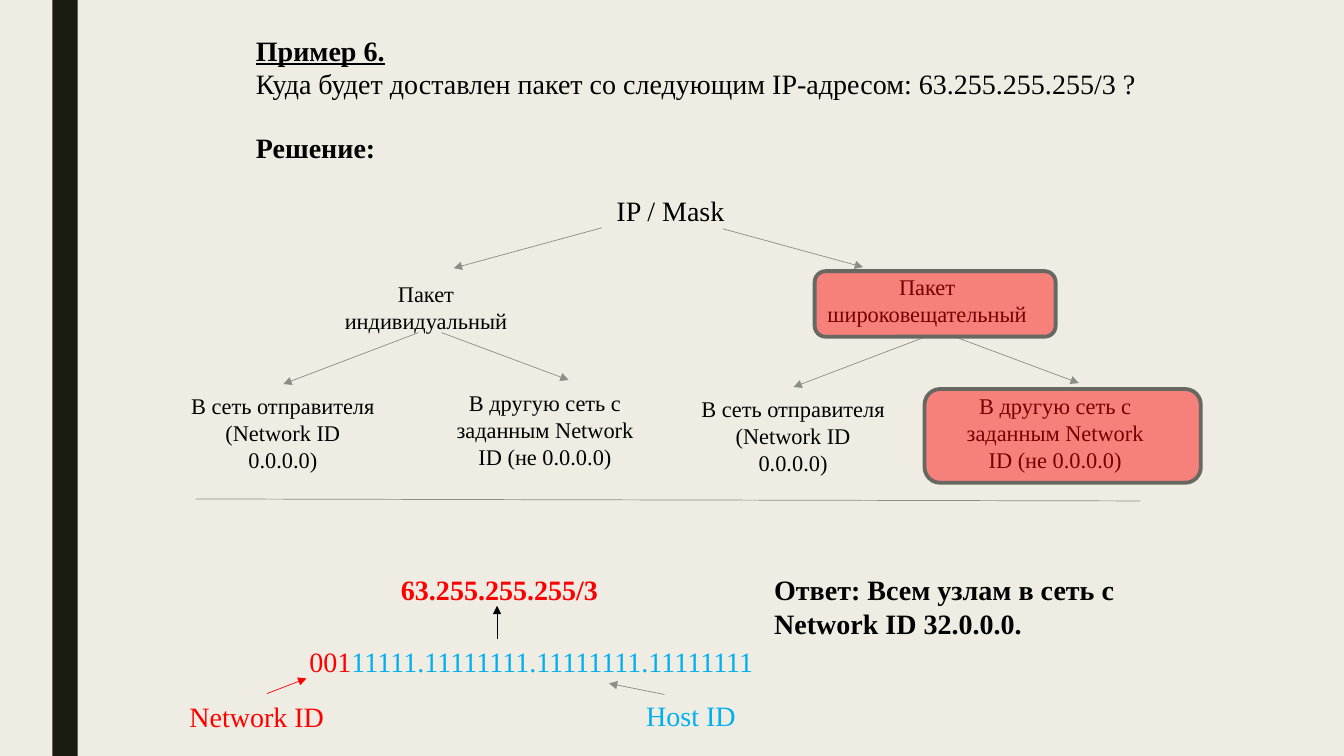
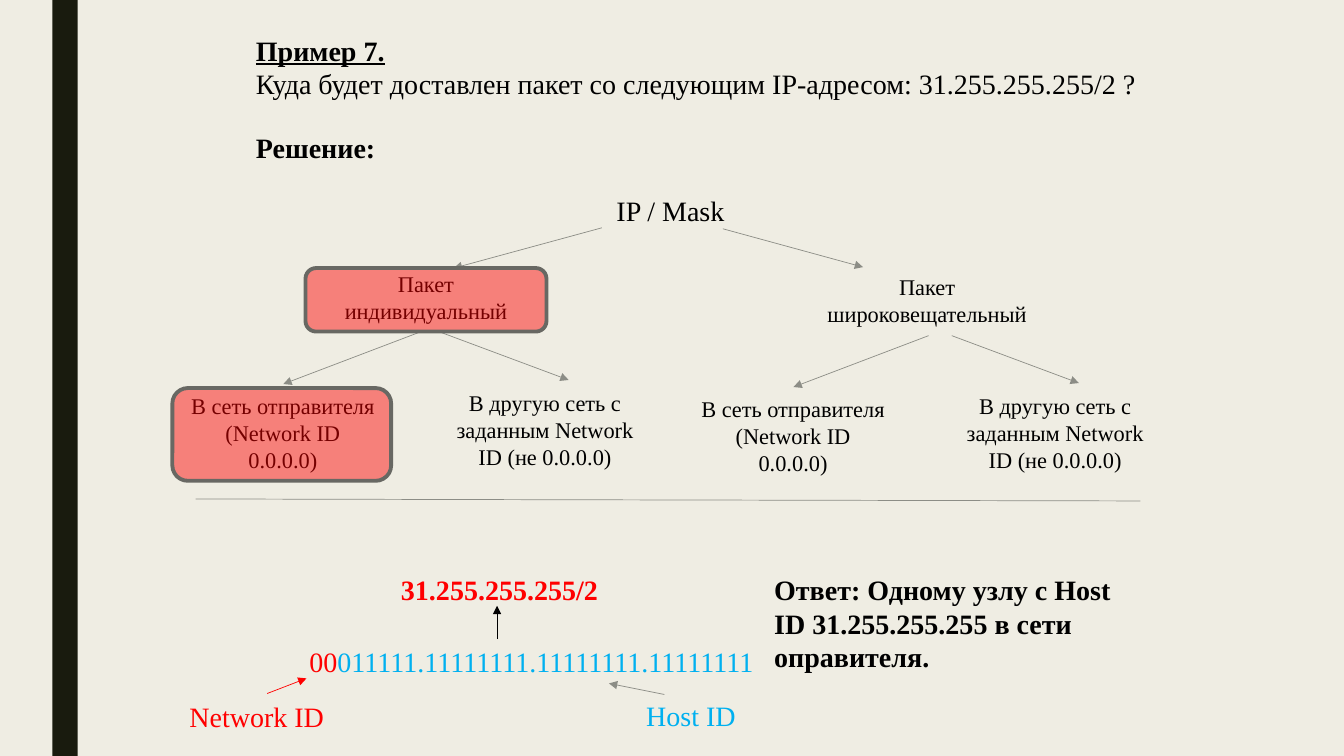
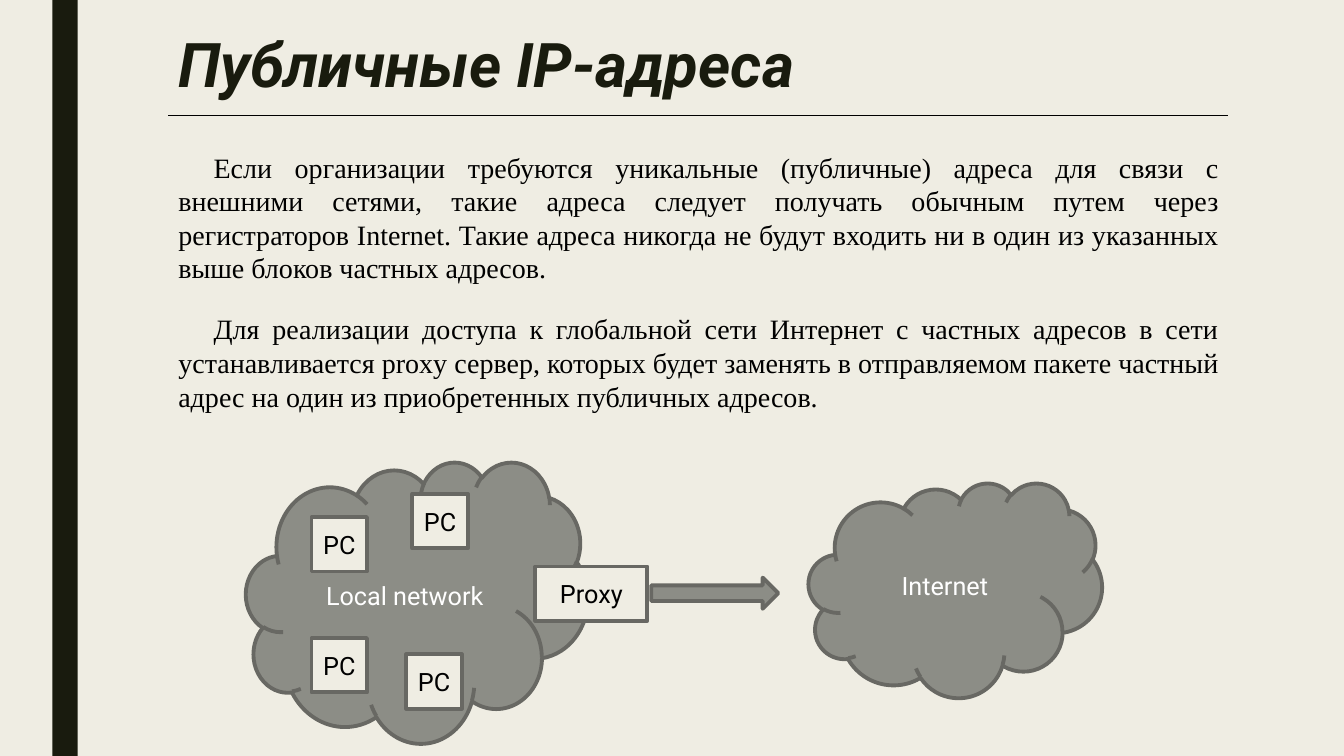
from dataclasses import dataclass

from lxml import etree
from pptx import Presentation
from pptx.dml.color import RGBColor
from pptx.enum.shapes import MSO_CONNECTOR, MSO_SHAPE
from pptx.enum.text import MSO_ANCHOR, PP_ALIGN
from pptx.oxml.ns import qn
from pptx.util import Inches, Pt

LEFT, CENTER, JUSTIFY = PP_ALIGN.LEFT, PP_ALIGN.CENTER, PP_ALIGN.JUSTIFY
TOP, MIDDLE = MSO_ANCHOR.TOP, MSO_ANCHOR.MIDDLE
STRAIGHT = MSO_CONNECTOR.STRAIGHT
RECT, ROUNDED = MSO_SHAPE.RECTANGLE, MSO_SHAPE.ROUNDED_RECTANGLE
CLOUD, RIGHT_ARROW = MSO_SHAPE.CLOUD, MSO_SHAPE.RIGHT_ARROW


@dataclass(frozen=True)
class Theme:
    paper: str = "EFEDE3"
    dark: str = "191B0E"
    black: str = "000000"
    white: str = "FFFFFF"
    gray: str = "8C8D86"
    outline: str = "686863"
    red: str = "FF0000"
    blue: str = "00B0F0"
    serif: str = "Times New Roman"
    sans: str = "Roboto"
    title: int = 44
    body: int = 20
    label: int = 18
    node: int = 16
    thin: float = 0.5
    rule: float = 0.75
    thick: float = 2.75


T = Theme()


def rgb(value):
    return RGBColor.from_string(value)


class Deck:
    def __init__(self):
        self.prs = Presentation()
        self.prs.slide_width, self.prs.slide_height = Inches(13.33), Inches(7.5)
        fill = self.prs.slide_master.background.fill
        fill.solid()
        fill.fore_color.rgb = rgb(T.paper)

    def slide(self):
        """Start a slide with the dark band on its left."""
        self.s = self.prs.slides.add_slide(self.prs.slide_layouts[6])
        self.shape(RECT, 0.52, 0, 0.25, 7.5, T.dark, line=None)

    def fill_text(self, tf, texts, size, color, font, bold, align):
        """Fill a text frame, one paragraph for each text."""
        for i, text in enumerate(texts):
            p = tf.add_paragraph() if i else tf.paragraphs[0]
            p.alignment = align
            p.font.size, p.font.name, p.font.bold = Pt(size), font, bold
            if color:
                p.font.color.rgb = rgb(color)
            if text:
                p.add_run().text = text
        return tf.paragraphs

    def text(self, x, y, w, h, *texts, size=T.body, color=T.black,
             font=T.serif, bold=False, align=LEFT, wrap=True):
        tf = self.s.shapes.add_textbox(
            Inches(x), Inches(y), Inches(w), Inches(h)).text_frame
        tf.word_wrap, tf.vertical_anchor = wrap, TOP
        return self.fill_text(tf, texts, size, color, font, bold, align)

    def shape(self, kind, x, y, w, h, fill, line=T.outline, text=None,
              color=T.white, alpha=None):
        sp = self.s.shapes.add_shape(
            kind, Inches(x), Inches(y), Inches(w), Inches(h))
        sp.shadow.inherit = False
        sp.fill.solid()
        sp.fill.fore_color.rgb = rgb(fill)
        if alpha:
            srgb = sp._element.spPr.find(".//" + qn("a:srgbClr"))
            etree.SubElement(srgb, qn("a:alpha"), val=str(alpha * 1000))
        if line:
            sp.line.color.rgb = rgb(line)
            sp.line.width = Pt(T.thick)
        else:
            sp.line.fill.background()
        if text:
            sp.text_frame.vertical_anchor = MIDDLE
            self.fill_text(sp.text_frame, [text], T.label, color, T.sans,
                           False, CENTER)

    def line(self, x1, y1, x2, y2, color=T.gray, width=T.thin, arrow=False):
        cx = self.s.shapes.add_connector(
            STRAIGHT, Inches(x1), Inches(y1), Inches(x2), Inches(y2))
        cx.line.color.rgb = rgb(color)
        cx.line.width = Pt(width)
        sp_pr = cx._element.spPr
        if arrow:
            etree.SubElement(sp_pr.find(qn("a:ln")), qn("a:tailEnd"),
                             type="triangle")
        etree.SubElement(sp_pr, qn("a:effectLst"))

    def arrow(self, x1, y1, x2, y2, color=T.gray):
        self.line(x1, y1, x2, y2, color, arrow=True)

    def node(self, x, y, w, h, text):
        self.text(x, y, w, h, text, size=T.node, align=CENTER)

    def decision_tree(self, individual_y):
        self.text(6.01, 1.87, 1.28, 0.44, "IP / Mask", align=CENTER, wrap=False)
        self.arrow(5.97, 2.26, 4.5, 2.66)
        self.arrow(7.17, 2.27, 8.56, 2.65)
        self.node(3.2, individual_y, 2.05, 0.64, "Пакет индивидуальный")
        self.node(8.08, 2.66, 2.23, 0.64, "Пакет широковещательный")
        for dx, dy in ((0, 0), (5.06, 0.03)):
            self.arrow(4.15 + dx, 3.3 + dy, 2.81 + dx, 3.81 + dy)
            self.arrow(4.38 + dx, 3.3 + dy, 5.64 + dx, 3.77 + dy)
            self.node(1.78 + dx, 3.84 + dy, 2.05, 0.91,
                      "В сеть отправителя (Network ID 0.0.0.0)")
            self.node(4.38 + dx, 3.81 + dy, 2.05, 0.91,
                      "В другую сеть с заданным Network ID (не 0.0.0.0)")

    def binary_address(self, address, network_bits, host_bits):
        self.text(3.87, 5.63, 2.17, 0.44, address, color=T.red, bold=True,
                  align=CENTER, wrap=False)
        self.arrow(4.93, 6.34, 4.93, 6.01, T.black)
        p = self.text(2.97, 6.34, 6.14, 0.44, "", color=None)[0]
        for bits, color in ((network_bits, T.red), (host_bits, T.blue)):
            r = p.add_run()
            r.text = bits
            r.font.color.rgb = rgb(color)
        self.arrow(2.65, 6.88, 3.04, 6.73, T.red)
        self.text(1.78, 6.89, 2, 0.44, "Network ID", color=T.red)
        self.arrow(6.59, 6.89, 6.04, 6.78)
        self.text(6.31, 6.88, 2, 0.44, "Host ID", color=T.blue)

    def example(self, number, address, network_bits, host_bits, answer,
                individual_y, highlights):
        self.slide()
        heading, _ = self.text(
            2.44, 0.28, 9.06, 0.77, f"Пример {number}.",
            f"Куда будет доставлен пакет со следующим IP-адресом: {address} ?",
            align=JUSTIFY)
        heading.font.bold = heading.font.underline = True
        self.text(2.44, 1.25, 9.06, 0.77, "Решение:", bold=True, align=JUSTIFY)
        self.decision_tree(individual_y)
        self.binary_address(address, network_bits, host_bits)
        self.line(1.94, 4.95, 11.31, 4.97)
        for box in highlights:
            self.shape(ROUNDED, *box, T.red, alpha=46)
        self.text(7.58, 5.63, 3.9, 1.11, answer, bold=True)

    def public_addresses(self):
        self.slide()
        title = self.text(1.67, 0.3, 9, 0.85, "Публичные IP-адреса",
                          size=T.title, color=T.dark, font=T.sans, bold=True)[0]
        title.font.italic, title.line_spacing = True, 0.89
        self.line(1.67, 1.15, 12.18, 1.15, T.black, T.rule)
        paragraphs = self.text(
            1.67, 1.44, 10.52, 2.74,
            "Если организации требуются уникальные (публичные) адреса для "
            "связи с внешними сетями, такие адреса следует получать обычным "
            "путем через регистраторов Internet. Такие адреса никогда не "
            "будут входить ни в один из указанных выше блоков частных адресов.",
            "Для реализации доступа к глобальной сети Интернет с частных "
            "адресов в сети устанавливается proxy сервер, которых будет "
            "заменять в отправляемом пакете частный адрес на один из "
            "приобретенных публичных адресов.", align=JUSTIFY)
        for p in paragraphs:
            p._p.get_or_add_pPr().set("indent", str(Inches(0.35)))
        paragraphs[1].space_before = Pt(19.5)

        self.shape(RIGHT_ARROW, 6.46, 5.73, 1.26, 0.31, T.gray)
        self.shape(CLOUD, 2.44, 4.58, 3.39, 2.79, T.gray, text="Local network")
        self.shape(CLOUD, 8.02, 4.79, 2.91, 2.13, T.gray, text="Internet")
        for x, y in ((3.09, 6.33), (4.03, 6.49), (3.09, 5.13), (4.09, 4.9)):
            self.shape(RECT, x, y, 0.55, 0.54, T.paper, text="PC",
                       color=T.black)
        self.shape(RECT, 5.31, 5.62, 1.11, 0.54, T.paper, text="Proxy",
                   color=T.black)


def main():
    deck = Deck()
    deck.example(6, "63.255.255.255/3", "001", "11111.11111111.11111111.11111111",
                 "Ответ: Всем узлам в сеть с Network ID 32.0.0.0.", 2.73,
                 [(8.08, 2.69, 2.39, 0.65), (9.17, 3.86, 2.74, 0.93)])
    deck.example(7, "31.255.255.255/2", "00", "011111.11111111.11111111.11111111",
                 "Ответ: Одному узлу с Host ID 31.255.255.255 в сети оправителя.",
                 2.63,
                 [(3.03, 2.66, 2.39, 0.63), (1.71, 3.85, 2.17, 0.92)])
    deck.public_addresses()
    deck.prs.save("out.pptx")


if __name__ == "__main__":
    main()
